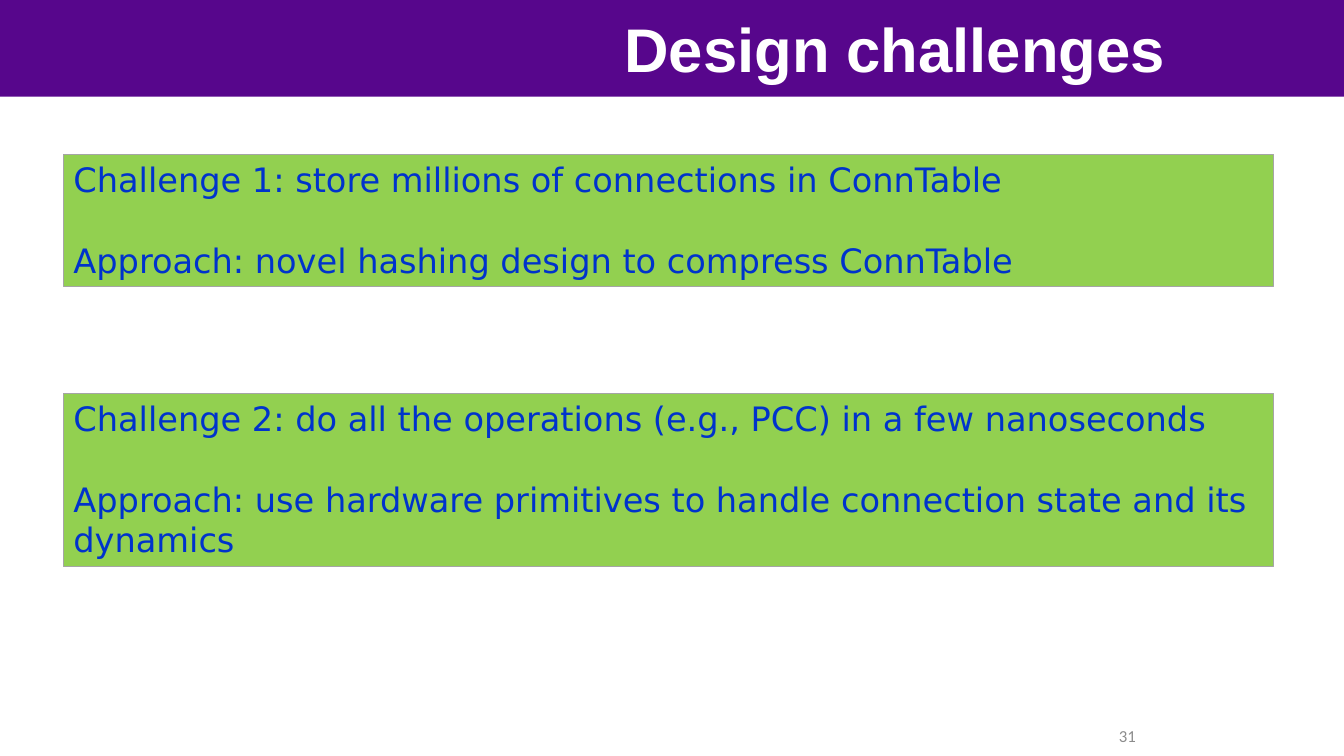
from pptx import Presentation
from pptx.dml.color import RGBColor
from pptx.enum.shapes import MSO_SHAPE
from pptx.enum.text import MSO_ANCHOR, PP_ALIGN
from pptx.util import Inches, Pt

WIDTH, HEIGHT = 13.33, 7.5
PURPLE, GREEN, BLUE = "57068C", "92D050", "0033CC"
WHITE, LINE_GRAY, NUMBER_GRAY = "FFFFFF", "A5A5A5", "8C8C8C"
LINE_GAP = 29

# Top and height of each box, with its paragraphs
CHALLENGES = [
    (1.53, 1.31, ["Challenge 1: store millions of connections in ConnTable",
                  "Approach: novel hashing design to compress ConnTable"]),
    (3.9, 1.72, ["Challenge 2: do all the operations (e.g., PCC) in a few nanoseconds",
                 "Approach: use hardware primitives to handle connection state and its dynamics"]),
]


def color(hex_string):
    return RGBColor.from_string(hex_string)


def format_runs(paragraph, font_name, size, hex_string, bold=False):
    for run in paragraph.runs:
        run.font.name = font_name
        run.font.size = Pt(size)
        run.font.bold = bold
        run.font.color.rgb = color(hex_string)


def add_rectangle(slide, left, top, width, height, fill):
    shape = slide.shapes.add_shape(
        MSO_SHAPE.RECTANGLE, Inches(left), Inches(top), Inches(width), Inches(height))
    shape.shadow.inherit = False
    shape.fill.solid()
    shape.fill.fore_color.rgb = color(fill)
    shape.line.fill.background()
    return shape


def add_title_band(slide):
    """Place the purple band behind everything else on the slide."""
    band = add_rectangle(slide, 0, 0, WIDTH, 0.96, PURPLE)
    slide.shapes.element.insert(2, band.element)


def set_title(slide, text):
    title = slide.shapes.title
    title.left, title.top = Inches(WIDTH / 8), Inches(0)
    title.width, title.height = Inches(WIDTH * 3 / 4), Inches(1.04)
    title.text_frame.text = text
    title.text_frame.vertical_anchor = MSO_ANCHOR.MIDDLE
    paragraph = title.text_frame.paragraphs[0]
    paragraph.alignment = PP_ALIGN.RIGHT
    paragraph.line_spacing = 0.9
    format_runs(paragraph, "Arial", 44, WHITE, bold=True)


def add_challenge(slide, top, height, lines):
    box = add_rectangle(slide, 0.63, top, 12, height, GREEN)
    box.line.color.rgb = color(LINE_GRAY)
    box.line.width = Pt(0.5)
    text_frame = box.text_frame
    text_frame.word_wrap = True
    text_frame.vertical_anchor = MSO_ANCHOR.TOP
    text_frame.text = "\n".join(lines)
    for index, paragraph in enumerate(text_frame.paragraphs):
        paragraph.alignment = PP_ALIGN.LEFT
        paragraph.space_before = Pt(LINE_GAP if index else 0)
        format_runs(paragraph, "DejaVu Sans", 24, BLUE)


def add_slide_number(slide, number):
    box = slide.shapes.add_textbox(Inches(11), Inches(7.1), Inches(2.33), Inches(0.4))
    box.text_frame.word_wrap = True
    box.text_frame.vertical_anchor = MSO_ANCHOR.MIDDLE
    box.text_frame.text = number
    format_runs(box.text_frame.paragraphs[0], "Calibri", 12, NUMBER_GRAY)


def main():
    presentation = Presentation()
    presentation.slide_width, presentation.slide_height = Inches(WIDTH), Inches(HEIGHT)
    slide = presentation.slides.add_slide(presentation.slide_layouts.get_by_name("Title Only"))
    add_title_band(slide)
    set_title(slide, "Design challenges")
    for top, height, lines in CHALLENGES:
        add_challenge(slide, top, height, lines)
    add_slide_number(slide, "31")
    presentation.save("out.pptx")


if __name__ == "__main__":
    main()
